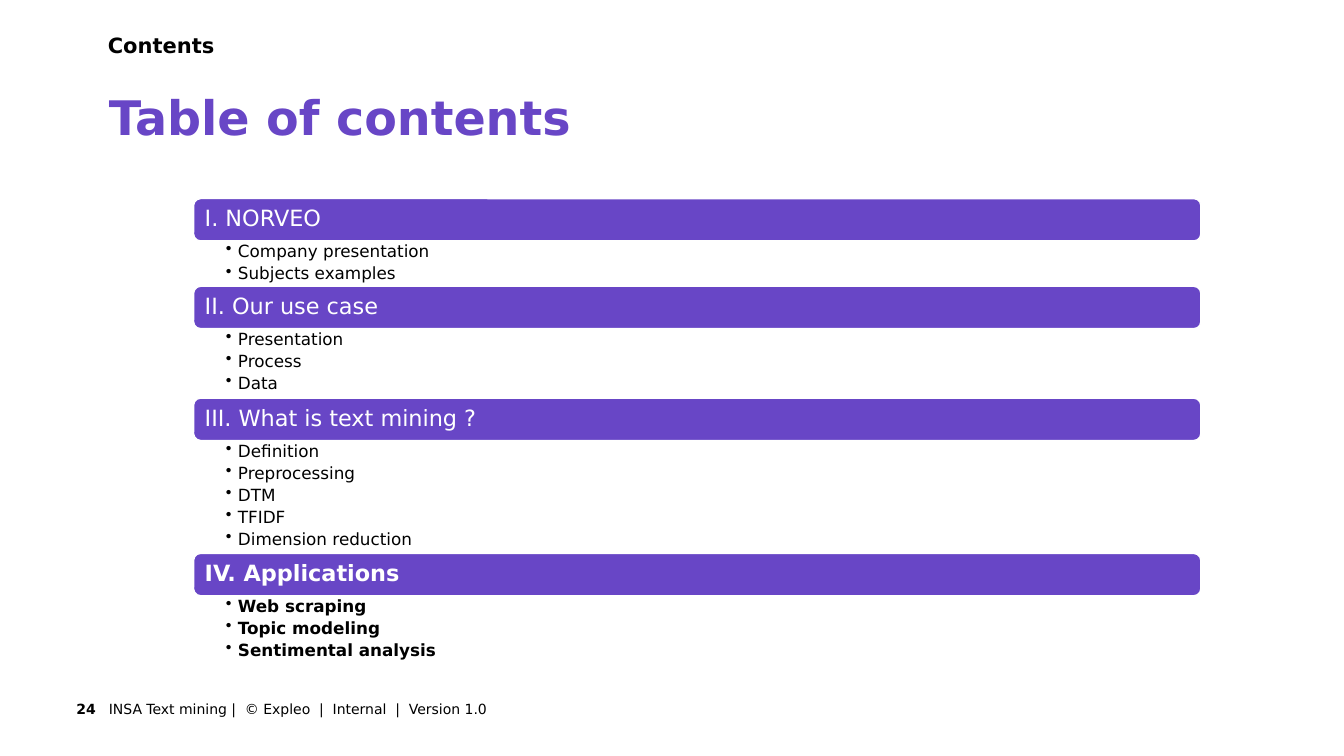
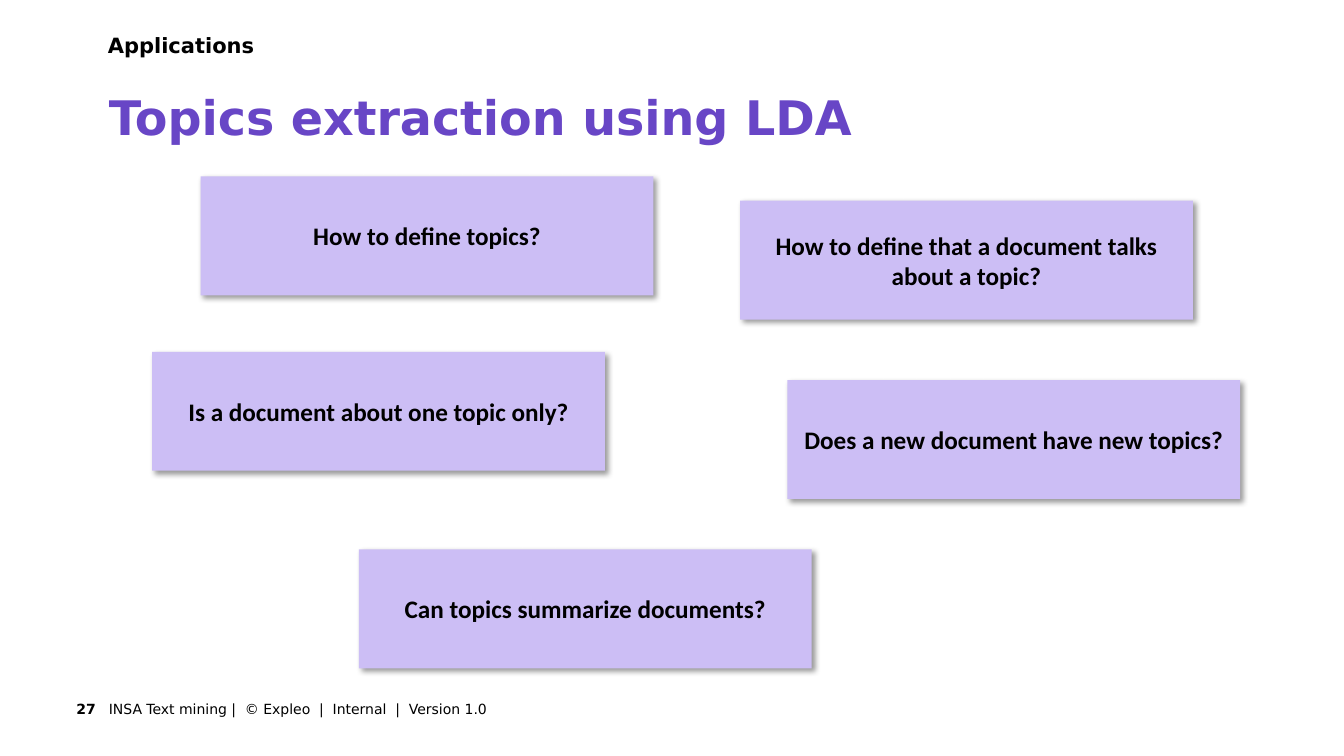
from lxml import etree
from pptx import Presentation
from pptx.dml.color import RGBColor
from pptx.enum import shapes, text
from pptx.oxml import parse_xml
from pptx.oxml.ns import nsdecls, qn
from pptx.util import Inches, Pt

PURPLE = RGBColor(0x68, 0x46, 0xC6)
LILAC = RGBColor(0xCC, 0xBE, 0xF5)
BLACK = RGBColor(0, 0, 0)
WHITE = RGBColor(0xFF, 0xFF, 0xFF)
MAIN_FONT, CARD_FONT = "DejaVu Sans", "Calibri"
LEFT, TOP, MIDDLE = text.PP_ALIGN.LEFT, text.MSO_ANCHOR.TOP, text.MSO_ANCHOR.MIDDLE

FOOTER = "INSA Text mining |  © Expleo  |  Internal  |  Version 1.0"

# Top of the band, heading, entries, current chapter or not
CHAPTERS = [
    (1.97, "I. NORVEO", ["Company presentation", "Subjects examples"], False),
    (2.84, "II. Our use case", ["Presentation", "Process", "Data"], False),
    (3.95, "III. What is text mining ?",
     ["Definition", "Preprocessing", "DTM", "TFIDF", "Dimension reduction"], False),
    (5.49, "IV. Applications",
     ["Web scraping", "Topic modeling", "Sentimental analysis"], True),
]
CHAPTER_LEFT, CHAPTER_WIDTH, BAND_HEIGHT = 1.92, 9.99, 0.42
ENTRY_HEIGHT = 0.22

# Left, top, question
QUESTIONS = [
    (1.99, 1.75, "How to define topics?"),
    (7.34, 1.99, "How to define that a document talks about a topic?"),
    (1.51, 3.49, "Is a document about one topic only?"),
    (7.81, 3.77, "Does a new document have new topics?"),
    (3.56, 5.45, "Can topics summarize documents?"),
]
CARD_WIDTH, CARD_HEIGHT = 4.49, 1.18


def write(shape, lines, size, color=BLACK, bold=False, font=MAIN_FONT, align=LEFT,
          anchor=TOP, insets=(0, 0, 0, 0), spacing=None, bullets=False):
    """Fill a shape with one paragraph per line; insets are left, top, right, bottom."""
    frame = shape.text_frame
    frame.word_wrap = True
    frame.vertical_anchor = anchor
    (frame.margin_left, frame.margin_top,
     frame.margin_right, frame.margin_bottom) = map(Inches, insets)
    frame.text = "\n".join(lines)
    for para in frame.paragraphs:
        if bullets:
            add_bullet(para)
        para.alignment = align
        if spacing:
            para.line_spacing = spacing
        for span in para.runs:
            span.font.name = font
            span.font.size = Pt(size)
            span.font.bold = bold
            span.font.color.rgb = color


def add_bullet(para):
    para.level = 1
    para.space_after = Pt(2.8)
    properties = para._p.get_or_add_pPr()
    properties.set("marL", str(Inches(0.12)))
    properties.set("indent", str(-Inches(0.12)))
    etree.SubElement(properties, qn("a:buChar")).set("char", "•")


def add_text(page, area, lines, size, **style):
    write(page.shapes.add_textbox(*map(Inches, area)), lines, size, **style)


def add_block(page, kind, area, fill):
    block = page.shapes.add_shape(kind, *map(Inches, area))
    block.shadow.inherit = False
    block.fill.solid()
    block.fill.fore_color.rgb = fill
    block.line.fill.background()
    return block


def cast_shadow(shape):
    properties = shape._element.spPr
    properties.remove(properties.find(qn("a:effectLst")))
    properties.append(parse_xml(
        f'<a:effectLst {nsdecls("a")}>'
        f'<a:outerShdw blurRad="{Pt(4)}" dist="{Pt(3)}" dir="2700000" algn="tl" '
        'rotWithShape="0"><a:srgbClr val="000000"><a:alpha val="40000"/></a:srgbClr>'
        '</a:outerShdw></a:effectLst>'))


def add_page(deck, number, section, title):
    page = deck.slides.add_slide(deck.slide_layouts[6])
    add_text(page, (0.42, 6.88, 0.65, 0.31), [str(number)], 10, bold=True,
             align=text.PP_ALIGN.RIGHT, anchor=MIDDLE, insets=(0.1, 0.05, 0.12, 0.05))
    add_text(page, (1.08, 6.88, 9.36, 0.31), [FOOTER], 10, anchor=MIDDLE,
             insets=(0, 0.05, 0.1, 0.05))
    add_text(page, (1.07, 0.32, 11.94, 0.41), [section], 15, bold=True)
    add_text(page, (1.08, 0.87, 11.94, 0.63), [title], 34, color=PURPLE, bold=True)
    return page


def add_contents(deck):
    page = add_page(deck, 24, "Contents", "Table of contents")
    for top, heading, entries, current in CHAPTERS:
        band = add_block(page, shapes.MSO_SHAPE.ROUNDED_RECTANGLE,
                         (CHAPTER_LEFT, top, CHAPTER_WIDTH, BAND_HEIGHT), PURPLE)
        band.line.color.rgb = WHITE
        band.line.width = Pt(1)
        write(band, [heading], 16, color=WHITE, bold=current, anchor=MIDDLE,
              insets=(0.09, 0.07, 0.09, 0.07), spacing=0.9)
        area = (CHAPTER_LEFT, top + BAND_HEIGHT, CHAPTER_WIDTH, ENTRY_HEIGHT * len(entries))
        add_text(page, area, entries, 12, bold=current, bullets=True,
                 insets=(0.32, 0.02, 0.12, 0.02), spacing=0.9)


def add_questions(deck):
    page = add_page(deck, 27, "Applications", "Topics extraction using LDA")
    for left, top, question in QUESTIONS:
        card = add_block(page, shapes.MSO_SHAPE.RECTANGLE,
                         (left, top, CARD_WIDTH, CARD_HEIGHT), LILAC)
        cast_shadow(card)
        write(card, [question], 18, bold=True, font=CARD_FONT, anchor=MIDDLE,
              align=text.PP_ALIGN.CENTER, insets=(0.1, 0.05, 0.1, 0.05))


def main():
    deck = Presentation()
    deck.slide_width, deck.slide_height = Inches(13.33), Inches(7.5)
    add_contents(deck)
    add_questions(deck)
    deck.save("out.pptx")


if __name__ == "__main__":
    main()
